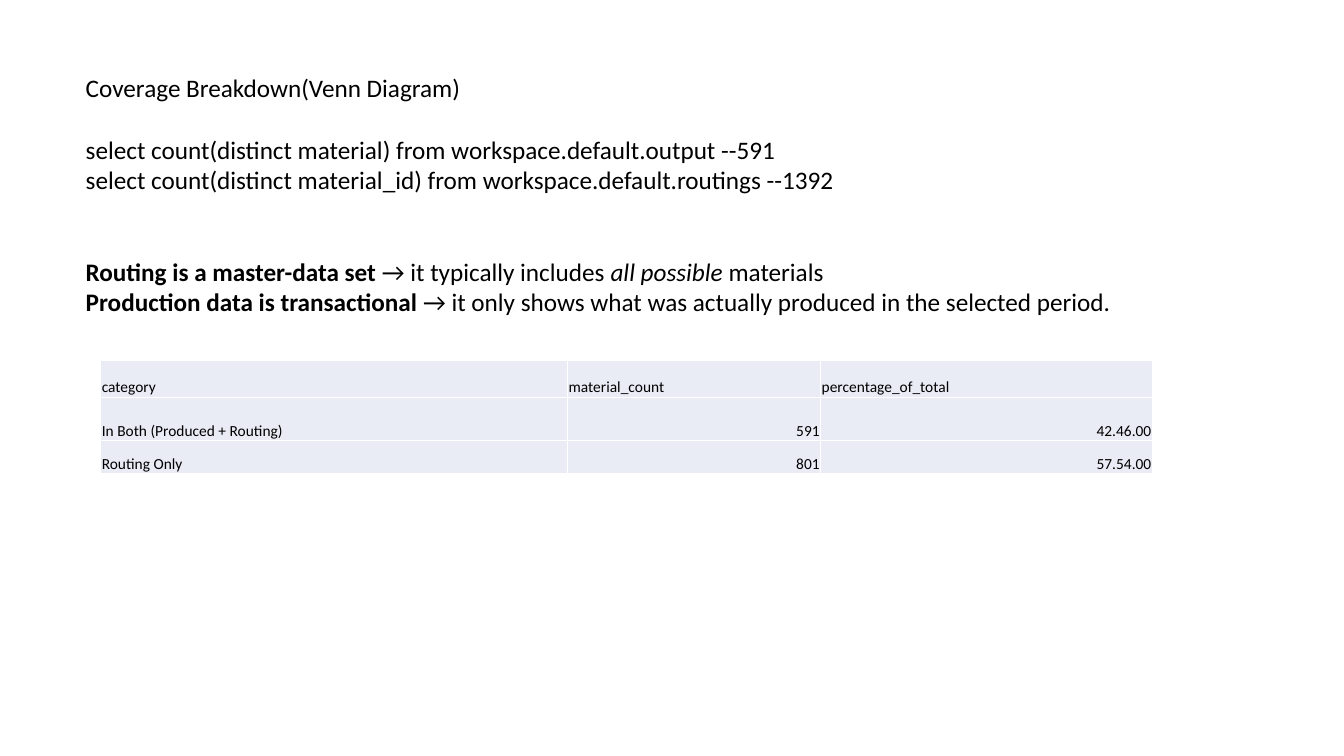
from dataclasses import dataclass

from lxml import etree
from pptx import Presentation
from pptx.dml.color import RGBColor
from pptx.enum.text import MSO_ANCHOR, MSO_AUTO_SIZE, PP_ALIGN
from pptx.oxml.ns import qn
from pptx.util import Inches, Pt

LEFT, RIGHT = PP_ALIGN.LEFT, PP_ALIGN.RIGHT
TOP, BOTTOM = MSO_ANCHOR.TOP, MSO_ANCHOR.BOTTOM
NO_AUTOFIT = MSO_AUTO_SIZE.NONE
TITLE_AND_CONTENT = 1


@dataclass(frozen=True)
class Theme:
    font: str = "Calibri"
    text_color: str = "000000"
    cell_color: str = "E9EBF5"
    border_color: str = "FFFFFF"
    border_width: float = 1
    body_size: float = 18
    table_size: float = 11


def apply_format(target, values):
    for name, value in values.items():
        setattr(target, name, value)


class SlideBuilder:
    def __init__(self, slide, theme):
        self.slide = slide
        self.theme = theme

    def write_runs(self, paragraph, runs, size):
        """Add (text, format values) pairs in the theme's font."""
        for text, values in runs:
            run = paragraph.add_run()
            run.text = text
            base = {"name": self.theme.font, "size": Pt(size), "bold": False, "italic": False}
            apply_format(run.font, base | values)
            run.font.color.rgb = RGBColor.from_string(self.theme.text_color)

    def fill_placeholder(self, placeholder, box, paragraphs):
        """Place a placeholder and write (runs, points of space before) paragraphs."""
        bounds = zip(("left", "top", "width", "height"), map(Inches, box))
        apply_format(placeholder, dict(bounds))
        frame = placeholder.text_frame
        apply_format(frame, {
            "word_wrap": True, "auto_size": NO_AUTOFIT, "vertical_anchor": TOP,
            "margin_left": Inches(0.1), "margin_right": Inches(0.1),
            "margin_top": Inches(0.05), "margin_bottom": Inches(0.05),
        })
        for index, (runs, gap) in enumerate(paragraphs):
            paragraph = frame.add_paragraph() if index else frame.paragraphs[0]
            apply_format(paragraph, {
                "alignment": LEFT, "space_before": Pt(gap),
                "space_after": Pt(0), "line_spacing": 1.0,
            })
            properties = paragraph._p.get_or_add_pPr()
            properties.set("marL", "0")
            properties.set("indent", "0")
            etree.SubElement(properties, qn("a:buNone"))
            self.write_runs(paragraph, runs, self.theme.body_size)

    def title(self, box, text):
        self.fill_placeholder(self.slide.shapes.title, box, [([(text, {})], 0)])

    def body(self, box, paragraphs):
        self.fill_placeholder(self.slide.placeholders[1], box, paragraphs)

    def table(self, left, top, widths, heights, rows):
        frame = self.slide.shapes.add_table(
            len(rows), len(widths), Inches(left), Inches(top),
            Inches(sum(widths)), Inches(sum(heights)))
        table = frame.table
        apply_format(table, {"first_row": False, "horz_banding": False})
        for column, width in zip(table.columns, widths):
            column.width = Inches(width)
        for row, height in zip(table.rows, heights):
            row.height = Inches(height)
        for row_index, row in enumerate(rows):
            for column_index, text in enumerate(row):
                is_count = row_index > 0 and column_index > 0
                self.style_cell(table.cell(row_index, column_index), text,
                                RIGHT if is_count else LEFT)

    def style_cell(self, cell, text, alignment):
        apply_format(cell, {
            "vertical_anchor": BOTTOM, "margin_left": Inches(0.01),
            "margin_right": Inches(0.01), "margin_top": Inches(0.01), "margin_bottom": 0,
        })
        cell.fill.solid()
        cell.fill.fore_color.rgb = RGBColor.from_string(self.theme.cell_color)
        paragraph = cell.text_frame.paragraphs[0]
        paragraph.alignment = alignment
        self.write_runs(paragraph, [(text, {})], self.theme.table_size)
        properties = cell._tc.get_or_add_tcPr()
        for position, side in enumerate(("lnL", "lnR", "lnT", "lnB")):
            border = etree.Element(qn(f"a:{side}"), w=str(Pt(self.theme.border_width)))
            fill = etree.SubElement(border, qn("a:solidFill"))
            etree.SubElement(fill, qn("a:srgbClr"), val=self.theme.border_color)
            properties.insert(position, border)


def main():
    presentation = Presentation()
    presentation.slide_width = Inches(13.33)
    presentation.slide_height = Inches(7.5)
    layout = presentation.slide_layouts[TITLE_AND_CONTENT]
    builder = SlideBuilder(presentation.slides.add_slide(layout), Theme())

    builder.title((0.75, 0.67, 11.81, 0.42), "Coverage Breakdown(Venn Diagram)")
    bold, italic = {"bold": True}, {"italic": True}
    builder.body((0.75, 1.28, 11.81, 2.22), [
        ([("select count(distinct material) from workspace.default.output --591", {})], 0),
        ([("select count(distinct material_id) from workspace.default.routings --1392", {})], 0),
        ([("Routing is a master-data set", bold), (" → it typically includes ", {}),
          ("all possible", italic), (" materials", {})], 44),
        ([("Production data is transactional", bold),
          (" → it only shows what was actually produced in the selected period.", {})], 0),
    ])
    builder.table(1, 3.58, (4.63, 2.51, 3.29), (0.36, 0.43, 0.33), [
        ("category", "material_count", "percentage_of_total"),
        ("In Both (Produced + Routing)", "591", "42.46.00"),
        ("Routing Only", "801", "57.54.00"),
    ])
    presentation.save("out.pptx")


if __name__ == "__main__":
    main()
